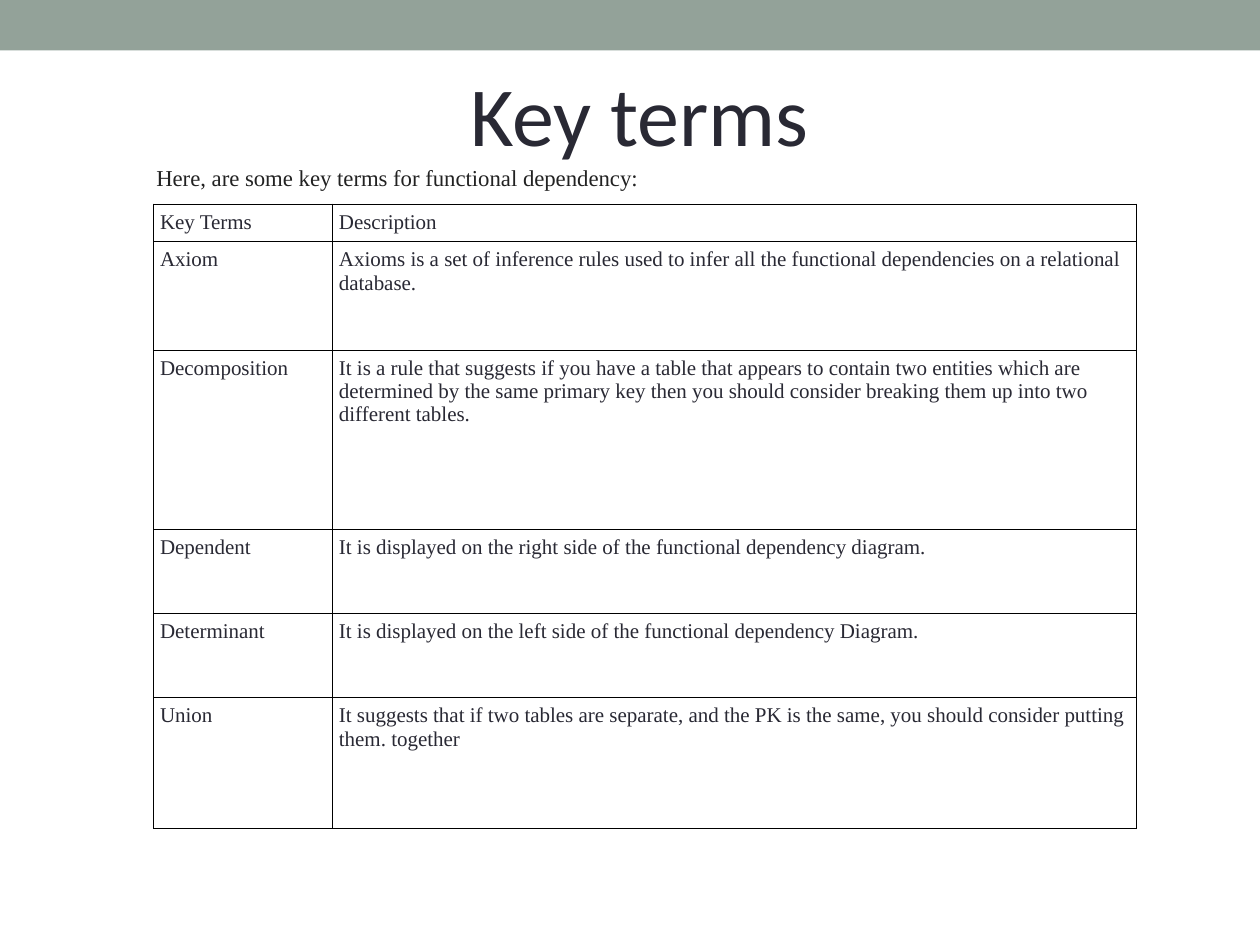
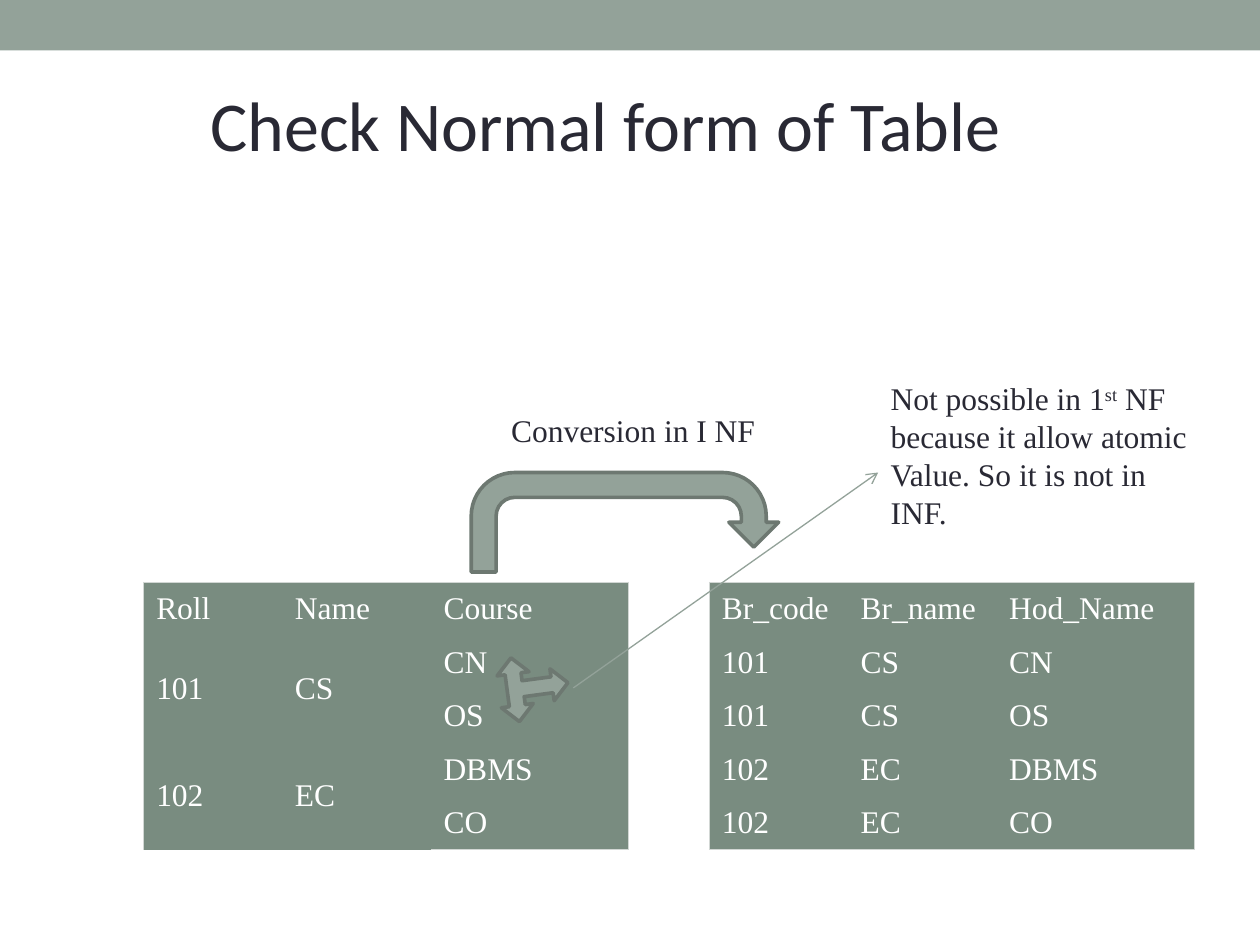
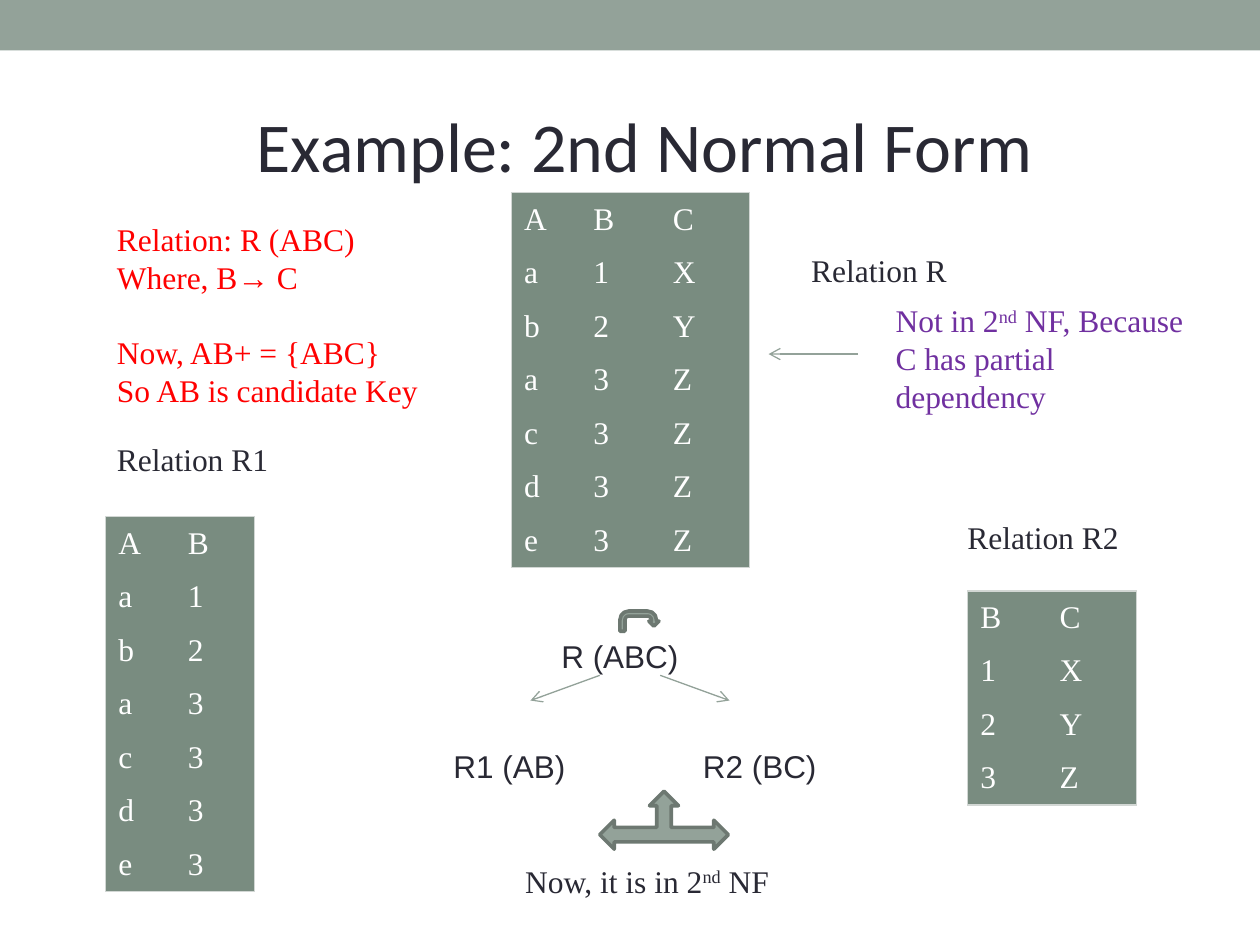
from lxml import etree
from pptx import Presentation
from pptx.dml.color import RGBColor
from pptx.enum import shapes, text
from pptx.oxml import ns
from pptx.util import Inches, Pt

SAGE = RGBColor(0x93, 0xA2, 0x99)
SAGE_EDGE = RGBColor(0x6D, 0x78, 0x71)
CELL_GREEN = RGBColor(0x79, 0x8C, 0x80)
CELL_EDGE = RGBColor(0xD2, 0xD7, 0xD4)
INK = RGBColor(0x29, 0x29, 0x34)
INTRO_INK = RGBColor(0x22, 0x22, 0x22)
BLACK = RGBColor(0, 0, 0)
WHITE = RGBColor(0xFF, 0xFF, 0xFF)
RED = RGBColor(0xFF, 0, 0)
PURPLE = RGBColor(0x70, 0x30, 0xA0)

TITLE = {"name": "Calibri", "size": Pt(40), "color": INK}
BIG_TITLE = {**TITLE, "size": Pt(48)}
INTRO = {"name": "Times New Roman", "size": Pt(13), "color": INTRO_INK}
BODY = {"name": "Times New Roman", "size": Pt(18), "color": INK}
SANS = {**BODY, "name": "Arial"}
SMALL_CELL = {**BODY, "size": Pt(12)}
GREEN_CELL = {**BODY, "color": WHITE}
FACTS = {**BODY, "color": RED}
REASON = {**BODY, "color": PURPLE}

NO_GRID_STYLE = "{2D5ABB26-0587-4C30-8999-92F81FD0307C}"
ROW_HEIGHT = 0.425
LEFT, CENTER = text.PP_ALIGN.LEFT, text.PP_ALIGN.CENTER
TOP, MIDDLE = text.MSO_ANCHOR.TOP, text.MSO_ANCHOR.MIDDLE
U_TURN = shapes.MSO_SHAPE.U_TURN_ARROW
THREE_WAY = shapes.MSO_SHAPE.LEFT_RIGHT_UP_ARROW

KEY_TERMS = [
    ("Key Terms", "Description"),
    ("Axiom", "Axioms is a set of inference rules used to infer all the functional "
              "dependencies on a relational database."),
    ("Decomposition", "It is a rule that suggests if you have a table that appears to contain "
                      "two entities which are determined by the same primary key then you "
                      "should consider breaking them up into two different tables."),
    ("Dependent", "It is displayed on the right side of the functional dependency diagram."),
    ("Determinant", "It is displayed on the left side of the functional dependency Diagram."),
    ("Union", "It suggests that if two tables are separate, and the PK is the same, "
              "you should consider putting them. together"),
]
KEY_TERM_HEIGHTS = [0.3, 0.86, 1.42, 0.67, 0.67, 1.04]

# None continues the cell above.
COURSES = [("Roll", "Name", "Course"), ("101", "CS", "CN"), (None, None, "OS"),
           ("102", "EC", "DBMS"), (None, None, "CO")]
BRANCHES = [("Br_code", "Br_name", "Hod_Name"), ("101", "CS", "CN"), ("101", "CS", "OS"),
            ("102", "EC", "DBMS"), ("102", "EC", "CO")]
RELATION_R = ["ABC", "a1X", "b2Y", "a3Z", "c3Z", "d3Z", "e3Z"]
RELATION_R1 = [row[:2] for row in RELATION_R]
RELATION_R2 = [row[1:] for row in RELATION_R[:4]]

# left, top, column widths, rows
FORM_TABLES = [(1.14, 4.62, [1.1, 1.18, 1.57], COURSES),
               (5.63, 4.62, [1.1, 1.18, 1.57], BRANCHES)]
RELATION_TABLES = [(4.06, 1.53, [0.55, 0.63, 0.71], RELATION_R),
                   (0.84, 4.1, [0.55, 0.63], RELATION_R1),
                   (7.68, 4.69, [0.63, 0.71], RELATION_R2)]

# place, lines, format, alignment; text between ^ marks is raised
FORM_NOTES = [
    ((6.97, 2.96, 2.6, 1.31),
     ["Not possible in 1^st^ NF because it allow atomic Value. So it is not in INF."], BODY, LEFT),
    ((3.74, 3.21, 2.57, 0.4), ["Conversion in I NF"], BODY, CENTER),
]
RELATION_NOTES = [
    ((6.34, 1.94, 1.34, 0.4), ["Relation R"], BODY, LEFT),
    ((0.83, 3.44, 1.5, 0.4), ["Relation R1"], BODY, LEFT),
    ((7.58, 4.06, 1.54, 0.4), ["Relation R2"], BODY, LEFT),
    ((7.01, 2.34, 2.56, 1.01),
     ["Not in 2^nd^ NF, Because C has partial dependency"], REASON, LEFT),
    ((3.03, 5.01, 3.78, 0.71), ["R (ABC)"], SANS, CENTER),
    ((3.5, 5.88, 1.1, 0.4), ["R1 (AB)"], SANS, LEFT),
    ((5.48, 5.88, 1.34, 0.4), ["R2 (BC)"], SANS, LEFT),
    ((4.07, 6.79, 2.99, 0.4), ["Now, it is in 2^nd^ NF"], BODY, LEFT),
]
RELATION_FACTS = ["Relation: R (ABC)", "Where, B→ C", "Now, AB+ = {ABC}", "So AB is candidate Key"]

# preset, place, rotation
FORM_ARROWS = [(U_TURN, (3.74, 3.75, 2.44, 0.79), 0), (THREE_WAY, (3.98, 5.18, 0.51, 0.55), 82.4)]
RELATION_ARROWS = [(U_TURN, (4.92, 4.85, 0.31, 0.16), 0), (THREE_WAY, (4.76, 6.28, 1.02, 0.46), 0)]
# start x, start y, end x, end y
FORM_POINTERS = [(4.55, 5.46, 6.97, 3.75)]
RELATION_POINTERS = [(6.81, 2.81, 6.1, 2.81), (4.76, 5.36, 4.21, 5.56), (5.24, 5.36, 5.79, 5.56)]


def inches(values):
    return [Inches(value) for value in values]


def write(para, line, style, align=LEFT):
    """Fill a paragraph, raising the pieces between ^ marks."""
    para.alignment = align
    for index, piece in enumerate(line.split("^")):
        span = para.add_run()
        span.text = piece
        span.font.color.rgb = style["color"]
        for key in ("name", "size"):
            setattr(span.font, key, style[key])
        if index % 2:
            span.font._element.set("baseline", "30000")


def add_note(page, place, lines, style, align=LEFT):
    frame = page.shapes.add_textbox(*inches(place)).text_frame
    frame.word_wrap = True
    for index, line in enumerate(lines):
        para = frame.add_paragraph() if index else frame.paragraphs[0]
        write(para, line, style, align)
    return frame


def add_page(deck, place, title, style=TITLE, anchor=TOP):
    page = deck.slides.add_slide(deck.slide_layouts[5])
    box = page.shapes.title
    box.left, box.top, box.width, box.height = inches(place)
    frame = box.text_frame
    frame.auto_size, frame.vertical_anchor = text.MSO_AUTO_SIZE.NONE, anchor
    write(frame.paragraphs[0], title, style, CENTER)
    return page


def add_shape(page, preset, place, fill, rotation=0):
    shape = page.shapes.add_shape(preset, *inches(place))
    shape.shadow.inherit = False
    shape.fill.solid()
    shape.fill.fore_color.rgb = fill
    shape.line.fill.background()
    shape.rotation = rotation
    return shape


def add_block_arrow(page, preset, place, rotation):
    line = add_shape(page, preset, place, SAGE, rotation).line
    line.color.rgb = SAGE_EDGE
    line.width = Pt(2.08)


def add_pointer(page, ends):
    pointer = page.shapes.add_connector(shapes.MSO_CONNECTOR.STRAIGHT, *inches(ends))
    pointer.line.color.rgb = SAGE
    pointer.line.width = Pt(0.75)
    etree.SubElement(pointer.line._get_or_add_ln(), ns.qn("a:tailEnd"), type="arrow")
    etree.SubElement(pointer.element.spPr, ns.qn("a:effectLst"))


def add_border(cell, sides, color):
    props = cell._tc.get_or_add_tcPr()
    for side in sides:
        line = etree.SubElement(props, ns.qn("a:ln" + side), w=str(Pt(0.75)))
        fill = etree.SubElement(line, ns.qn("a:solidFill"))
        etree.SubElement(fill, ns.qn("a:srgbClr"), val=str(color))


def add_grid(page, left, top, widths, heights, rows, style, fill, edge, inset, anchor, inner):
    """Add a table; inner tells whether the lines between cells are drawn."""
    place = (left, top, sum(widths), sum(heights))
    table = page.shapes.add_table(len(rows), len(widths), *inches(place)).table
    table._tbl.tblPr.find(ns.qn("a:tableStyleId")).text = NO_GRID_STYLE
    table.first_row = table.horz_banding = False
    for column, width in zip(table.columns, widths):
        column.width = Inches(width)
    for row, height in zip(table.rows, heights):
        row.height = Inches(height)
    last_row, last_column = len(rows) - 1, len(widths) - 1
    for r, values in enumerate(rows):
        for c, value in enumerate(values):
            cell = table.cell(r, c)
            outer = {"L": c == 0, "R": c == last_column, "T": r == 0, "B": r == last_row}
            add_border(cell, [side for side in outer if inner or outer[side]], edge)
            cell.fill.solid()
            cell.fill.fore_color.rgb = fill
            cell.vertical_anchor = anchor
            cell.margin_left = cell.margin_right = Inches(inset[0])
            cell.margin_top = cell.margin_bottom = Inches(inset[1])
            if value is None:
                table.cell(r - 1, c).merge(cell)
            else:
                write(cell.text_frame.paragraphs[0], value, style)


def add_diagram(page, tables, notes, arrows, pointers):
    for left, top, widths, rows in tables:
        add_grid(page, left, top, widths, [ROW_HEIGHT] * len(rows), rows, GREEN_CELL,
                 CELL_GREEN, CELL_EDGE, (0.1, 0.06), MIDDLE, inner=False)
    for arrow in arrows:
        add_block_arrow(page, *arrow)
    for ends in pointers:
        add_pointer(page, ends)
    for note in notes:
        add_note(page, *note)


def main():
    deck = Presentation()
    deck.slide_width, deck.slide_height = Inches(10), Inches(7.5)

    page = add_page(deck, (1.14, 0.44, 7.87, 1.13), "Key terms", BIG_TITLE, MIDDLE)
    write(page.shapes.title.text_frame.add_paragraph(),
          "Here, are some key terms for functional dependency:", INTRO)
    add_grid(page, 1.22, 1.62, [1.42, 6.38], KEY_TERM_HEIGHTS, KEY_TERMS, SMALL_CELL,
             WHITE, BLACK, (0.05, 0.05), TOP, inner=True)

    # The band moves to the master, behind everything, so every page shows it.
    band = add_shape(page, shapes.MSO_SHAPE.RECTANGLE, (0, 0, 10, 0.4), SAGE)
    deck.slide_master.shapes.element.insert(2, band.element)

    page = add_page(deck, (0.83, 0.6, 7.95, 1.45), "Check Normal form of Table")
    add_diagram(page, FORM_TABLES, FORM_NOTES, FORM_ARROWS, FORM_POINTERS)

    page = add_page(deck, (0.51, 0.76, 9.21, 0.77), "Example: 2nd Normal Form")
    add_diagram(page, RELATION_TABLES, RELATION_NOTES, RELATION_ARROWS, RELATION_POINTERS)
    facts = add_note(page, (0.83, 1.7, 2.83, 1.62), RELATION_FACTS, FACTS)
    facts.paragraphs[2].space_before = Pt(21)

    deck.save("out.pptx")


if __name__ == "__main__":
    main()
